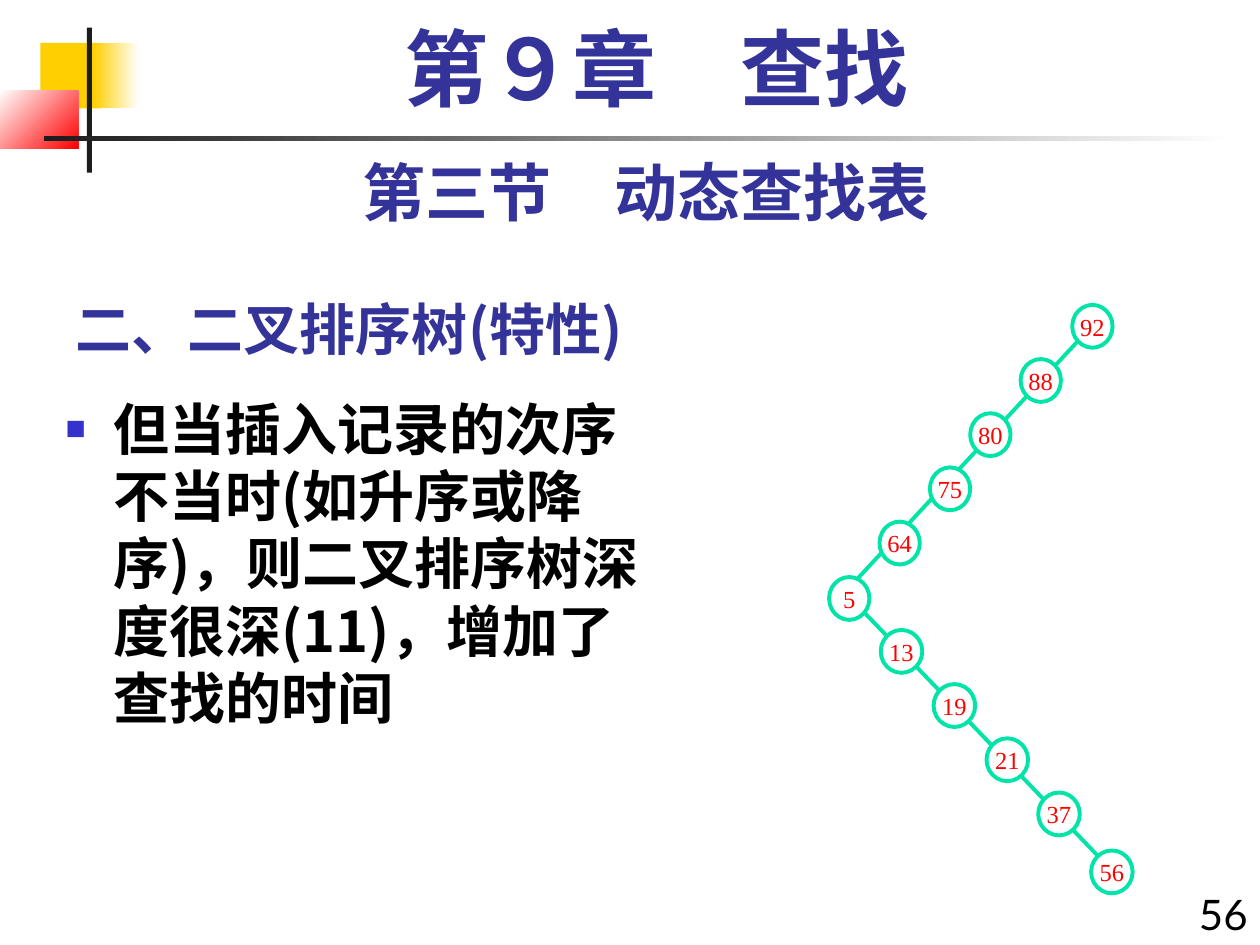
from lxml import etree
from pptx import Presentation
from pptx.dml.color import RGBColor
from pptx.enum.shapes import MSO_CONNECTOR as CONNECTOR, MSO_SHAPE as SHAPE
from pptx.enum.text import MSO_ANCHOR as ANCHOR, MSO_AUTO_SIZE as AUTO_SIZE, PP_ALIGN as ALIGN
from pptx.oxml import parse_xml
from pptx.oxml.ns import nsdecls, qn
from pptx.util import Inches, Pt

WHITE = RGBColor(0xFF, 0xFF, 0xFF)
BLACK = RGBColor(0x00, 0x00, 0x00)
CHARCOAL = RGBColor(0x1C, 0x1C, 0x1C)
YELLOW = RGBColor(0xFF, 0xCF, 0x01)
RED = RGBColor(0xFF, 0x00, 0x00)
NAVY = RGBColor(0x33, 0x33, 0x99)
GREEN = RGBColor(0x00, 0xE4, 0xA8)
CJK_FONT = "Noto Sans CJK SC"


def write(shape, text, size, color, font_name, bold=False, align=ALIGN.LEFT):
    """Put one formatted paragraph into a shape and return it."""
    paragraph = shape.text_frame.paragraphs[0]
    paragraph.text = text
    paragraph.alignment = align
    paragraph.space_before = Pt(0)
    font = paragraph.font
    font.size, font.bold, font.name = Pt(size), bold, font_name
    font.color.rgb = color
    latin = paragraph._p.pPr.find(qn("a:defRPr")).find(qn("a:latin"))
    latin.addnext(parse_xml(f'<a:ea {nsdecls("a")} typeface="{CJK_FONT}"/>'))
    return paragraph


def place(shape, left, top, width, height):
    shape.left, shape.top = Inches(left), Inches(top)
    shape.width, shape.height = Inches(width), Inches(height)


presentation = Presentation()
presentation.slide_width, presentation.slide_height = Inches(10), Inches(7.5)
slide = presentation.slides.add_slide(presentation.slide_layouts[1])
shapes = slide.shapes

# Corner decoration: left, top, width, height, start colour, end colour, angle
decorations = [
    (0.32, 0.34, 0.48, 0.52, YELLOW, None, 0),
    (0.74, 0.34, 0.36, 0.52, YELLOW, WHITE, 0),
    (0, 0.72, 0.62, 0.46, WHITE, RED, 315),
    (0.69, 0.22, 0.04, 1.15, CHARCOAL, None, 0),
    (0.35, 1.08, 9.45, 0.04, CHARCOAL, WHITE, 0),
]
for left, top, width, height, start, end, angle in decorations:
    block = shapes.add_shape(SHAPE.RECTANGLE, Inches(left), Inches(top), Inches(width), Inches(height))
    block.shadow.inherit = False
    block.line.fill.background()
    if end is None:
        block.fill.solid()
        block.fill.fore_color.rgb = start
    else:
        block.fill.gradient()
        block.fill.gradient_angle = angle
        for stop, color in zip(block.fill.gradient_stops, (start, end)):
            stop.color.rgb = color

# Topic title
title = shapes.title
place(title, 0.5, 2.17, 6.25, 0.75)
title.text_frame.vertical_anchor = ANCHOR.BOTTOM
title.text_frame.auto_size = AUTO_SIZE.NONE
write(title, "二、二叉排序树(特性)", 32, NAVY, CJK_FONT, bold=True)

# Bulleted body
body = slide.placeholders[1]
place(body, 0.42, 3.08, 4.92, 4.42)
body.text_frame.auto_size = AUTO_SIZE.NONE
properties = body.text_frame.paragraphs[0]._p.get_or_add_pPr()
properties.set("marL", str(Inches(0.38)))
properties.set("indent", str(-Inches(0.38)))
color_element = etree.SubElement(properties, qn("a:buClr"))
etree.SubElement(color_element, qn("a:srgbClr"), val="3333CC")
etree.SubElement(properties, qn("a:buSzPct"), val="60000")
etree.SubElement(properties, qn("a:buChar"), char="■")
write(body, "但当插入记录的次序不当时(如升序或降序)，则二叉排序树深度很深(11)，增加了查找的时间",
      32, BLACK, CJK_FONT, bold=True)

# Chapter, section and page number
labels = [
    (0.67, 0.17, 9.08, 0.83, "第９章\u3000查找", 48, NAVY, "Times New Roman", True, ALIGN.CENTER, 0.9),
    (0.5, 1.17, 9.25, 0.7, "第三节\u3000动态查找表", 36, NAVY, "Lato", True, ALIGN.CENTER, 1.0),
    (9.33, 7, 0.67, 0.59, "56", 24, BLACK, "Lato", False, ALIGN.RIGHT, 1.0),
]
for left, top, width, height, text, size, color, font_name, bold, align, spacing in labels:
    box = shapes.add_textbox(Inches(left), Inches(top), Inches(width), Inches(height))
    box.text_frame.word_wrap = True
    write(box, text, size, color, font_name, bold, align).line_spacing = spacing

# Tree branches, drawn behind the nodes
for x1, y1, x2, y2 in [(8.58, 2.68, 6.66, 4.75), (6.83, 4.83, 8.73, 6.81)]:
    branch = shapes.add_connector(CONNECTOR.STRAIGHT, Inches(x1), Inches(y1), Inches(x2), Inches(y2))
    branch.line.color.rgb = GREEN
    branch.line.width = Pt(2.25)
    etree.SubElement(branch._element.spPr, qn("a:effectLst"))

# Tree nodes: key, left, top, width
nodes = [
    (92, 8.51, 2.42, 0.32), (88, 8.1, 2.85, 0.32), (80, 7.7, 3.28, 0.32),
    (75, 7.38, 3.71, 0.32), (64, 6.98, 4.14, 0.32), (5, 6.58, 4.58, 0.32),
    (13, 6.99, 5, 0.33), (19, 7.41, 5.43, 0.33), (21, 7.83, 5.86, 0.33),
    (37, 8.24, 6.29, 0.33), (56, 8.66, 6.75, 0.33),
]
for key, left, top, width in nodes:
    node = shapes.add_shape(SHAPE.OVAL, Inches(left), Inches(top), Inches(width), Inches(0.34))
    node.shadow.inherit = False
    node.fill.solid()
    node.fill.fore_color.rgb = WHITE
    node.line.color.rgb = GREEN
    node.line.width = Pt(2.25)
    node.text_frame.word_wrap = False
    node.text_frame.vertical_anchor = ANCHOR.MIDDLE
    write(node, str(key), 14, RED, "Times New Roman", align=ALIGN.CENTER)

presentation.save("out.pptx")
